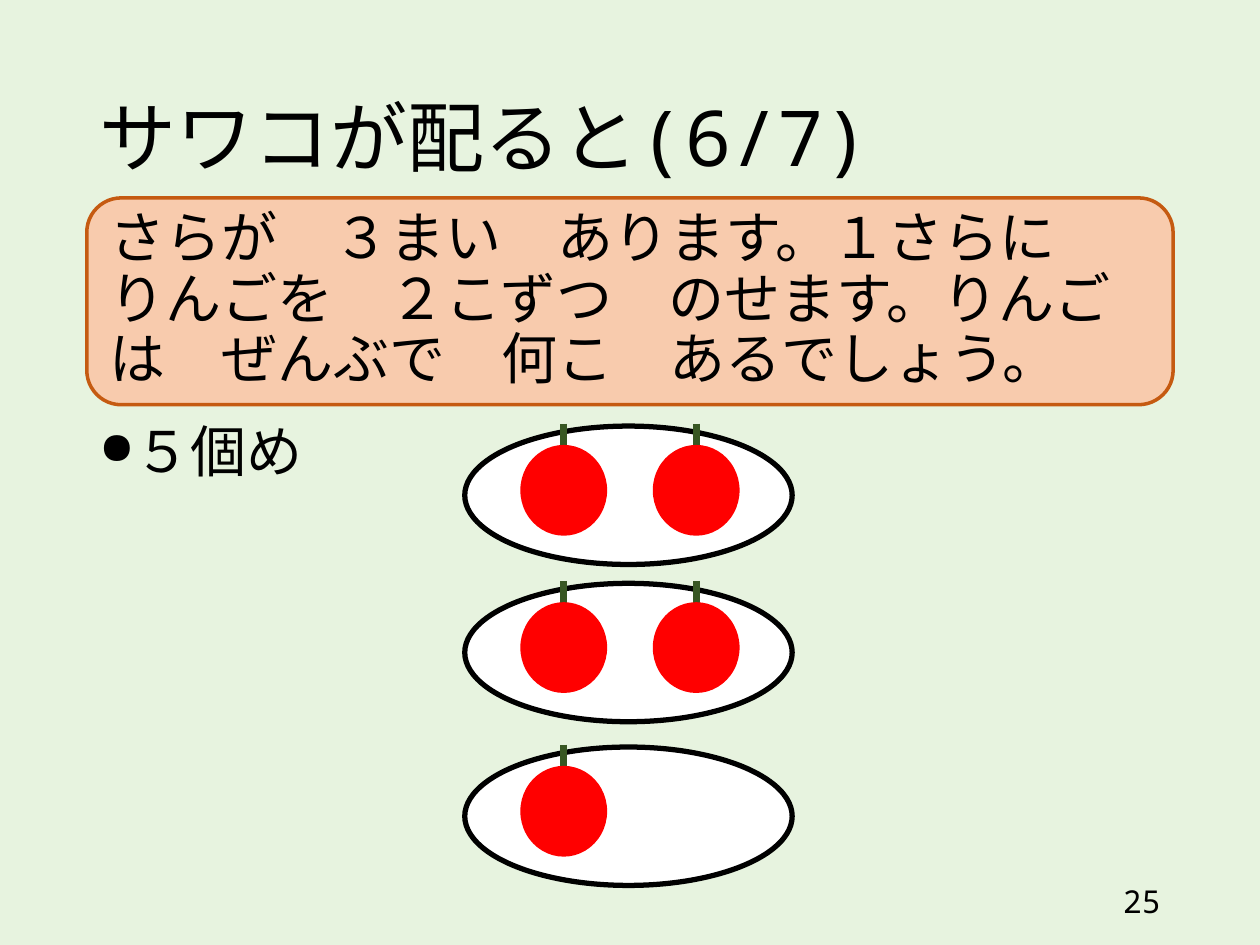
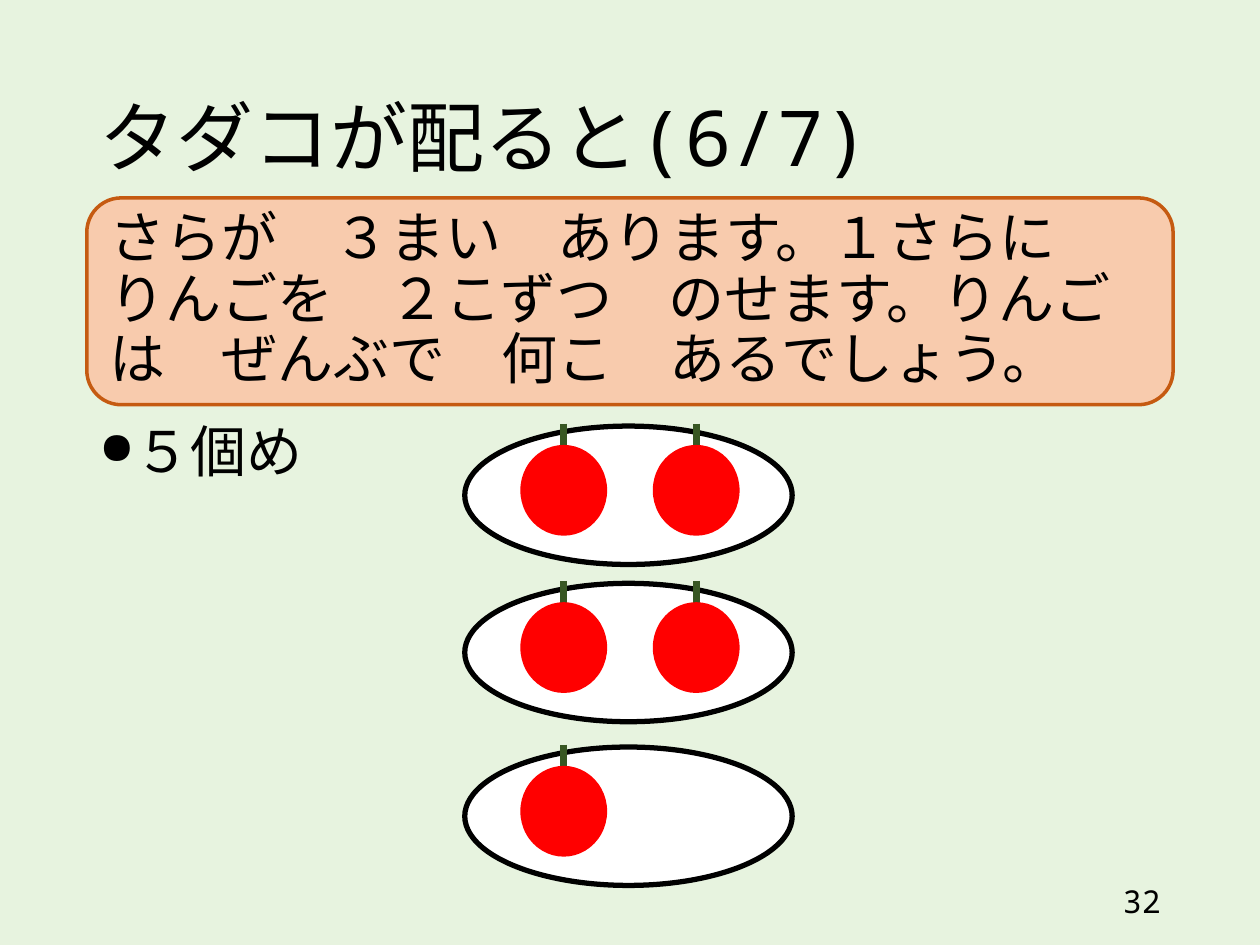
from lxml import etree
from pptx import Presentation
from pptx.dml.color import RGBColor
from pptx.enum.shapes import MSO_CONNECTOR, MSO_SHAPE
from pptx.enum.text import MSO_ANCHOR, MSO_AUTO_SIZE, PP_ALIGN
from pptx.oxml.ns import qn
from pptx.util import Cm, Pt

OVAL, ROUNDED = MSO_SHAPE.OVAL, MSO_SHAPE.ROUNDED_RECTANGLE
STRAIGHT = MSO_CONNECTOR.STRAIGHT
TOP, MIDDLE = MSO_ANCHOR.TOP, MSO_ANCHOR.MIDDLE
LEFT, RIGHT = PP_ALIGN.LEFT, PP_ALIGN.RIGHT
NO_FIT = MSO_AUTO_SIZE.NONE

COLORS = {
    "background": "E7F3DF",
    "text": "000000",
    "problem": "F8CBAD",
    "problem_line": "C55A11",
    "plate": "FFFFFF",
    "plate_line": "000000",
    "apple": "FF0000",
    "stem": "385723",
}
MONO, CJK = "Noto Sans Mono", "Noto Sans CJK JP"
MARGIN, WIDTH = 1.75, 21.9
PLATE_LEFT, PLATE_W, PLATE_H = 9.37, 6.6, 2.79
APPLE_DX, APPLE_DY, APPLE_PITCH = 1.12, 0.38, 2.67
APPLE_W, APPLE_H = 1.75, 1.83
STEM_RISE, STEM_LENGTH = 0.43, 0.81

PROBLEM = ("さらが　３まい　あります。１さらに　りんごを　２こずつ　のせます。"
           "りんごは　ぜんぶで　何こ　あるでしょう。")
STEP = [("５", CJK), ("個め", MONO)]
PLATES = [(15.06, 1), (11.76, 2), (8.59, 2)]
PAGES = [("サワコが配ると(6/7)", "25"), ("タダコが配ると(6/7)", "32")]


def color(name):
    return RGBColor.from_string(COLORS[name])


def add_bullet(p):
    pPr = p._p.get_or_add_pPr()
    pPr.set("marL", str(Cm(0.64)))
    pPr.set("indent", str(-Cm(0.64)))
    etree.SubElement(pPr, qn("a:buSzPct")).set("val", "80000")
    etree.SubElement(pPr, qn("a:buChar")).set("char", "●")


def write(tf, runs, size=32, align=LEFT, anchor=TOP, spacing=None, bullet=False):
    tf.word_wrap = True
    tf.auto_size = NO_FIT
    tf.vertical_anchor = anchor
    p = tf.paragraphs[0]
    if bullet:
        add_bullet(p)
    p.alignment = align
    p.line_spacing = spacing
    for text, font in runs:
        r = p.add_run()
        r.text = text
        r.font.name = font
        r.font.size = Pt(size)
        r.font.color.rgb = color("text")
        etree.SubElement(r._r.get_or_add_rPr(), qn("a:ea")).set("typeface", font)


class Deck:
    def __init__(self):
        self.prs = Presentation()
        self.prs.slide_width, self.prs.slide_height = Cm(25.4), Cm(19.05)
        fill = self.prs.slide_master.background.fill
        fill.solid()
        fill.fore_color.rgb = color("background")
        self.s = None

    def slide(self, title):
        self.s = self.prs.slides.add_slide(self.prs.slide_layouts[5])
        sp = self.s.shapes.title
        sp.left, sp.top, sp.width, sp.height = Cm(MARGIN), Cm(1.02), Cm(WIDTH), Cm(3.68)
        write(sp.text_frame, [(title, MONO)], size=44, anchor=MIDDLE, spacing=0.9)

    def text(self, runs, x, y, w, h, **style):
        sp = self.s.shapes.add_textbox(Cm(x), Cm(y), Cm(w), Cm(h))
        write(sp.text_frame, runs, **style)

    def shape(self, kind, x, y, w, h, fill, line=None, width=0, shapes=None):
        shapes = shapes or self.s.shapes
        sp = shapes.add_shape(kind, Cm(x), Cm(y), Cm(w), Cm(h))
        sp.shadow.inherit = False
        sp.fill.solid()
        sp.fill.fore_color.rgb = color(fill)
        if line:
            sp.line.color.rgb = color(line)
            sp.line.width = Pt(width)
        else:
            sp.line.fill.background()
        return sp

    def line(self, x1, y1, x2, y2, line, width, shapes):
        c = shapes.add_connector(STRAIGHT, Cm(x1), Cm(y1), Cm(x2), Cm(y2))
        c.line.color.rgb = color(line)
        c.line.width = Pt(width)
        etree.SubElement(c._element.spPr, qn("a:effectLst"))

    def apple(self, x, y):
        shapes = self.s.shapes.add_group_shape().shapes
        self.shape(OVAL, x, y, APPLE_W, APPLE_H, "apple", shapes=shapes)
        stem_x, stem_y = x + APPLE_W / 2, y - STEM_RISE
        self.line(stem_x, stem_y, stem_x, stem_y + STEM_LENGTH, "stem", 4, shapes)

    def plate(self, y, apples):
        self.shape(OVAL, PLATE_LEFT, y, PLATE_W, PLATE_H, "plate", "plate_line", 3)
        for i in range(apples):
            self.apple(PLATE_LEFT + APPLE_DX + i * APPLE_PITCH, y + APPLE_DY)

    def problem(self, text):
        sp = self.shape(ROUNDED, MARGIN, 3.99, WIDTH, 4.17, "problem", "problem_line", 2)
        write(sp.text_frame, [(text, CJK)], anchor=MIDDLE, spacing=0.9)


def main():
    deck = Deck()
    for title, number in PAGES:
        deck.slide(title)
        deck.text([(number, MONO)], 17.93, 17.65, 5.72, 1.02,
                  size=18, align=RIGHT, anchor=MIDDLE)
        for y, apples in PLATES:
            deck.plate(y, apples)
        deck.text(STEP, MARGIN, 8.43, WIDTH, 8.71, spacing=0.9, bullet=True)
        deck.problem(PROBLEM)
    deck.prs.save("out.pptx")


if __name__ == "__main__":
    main()
